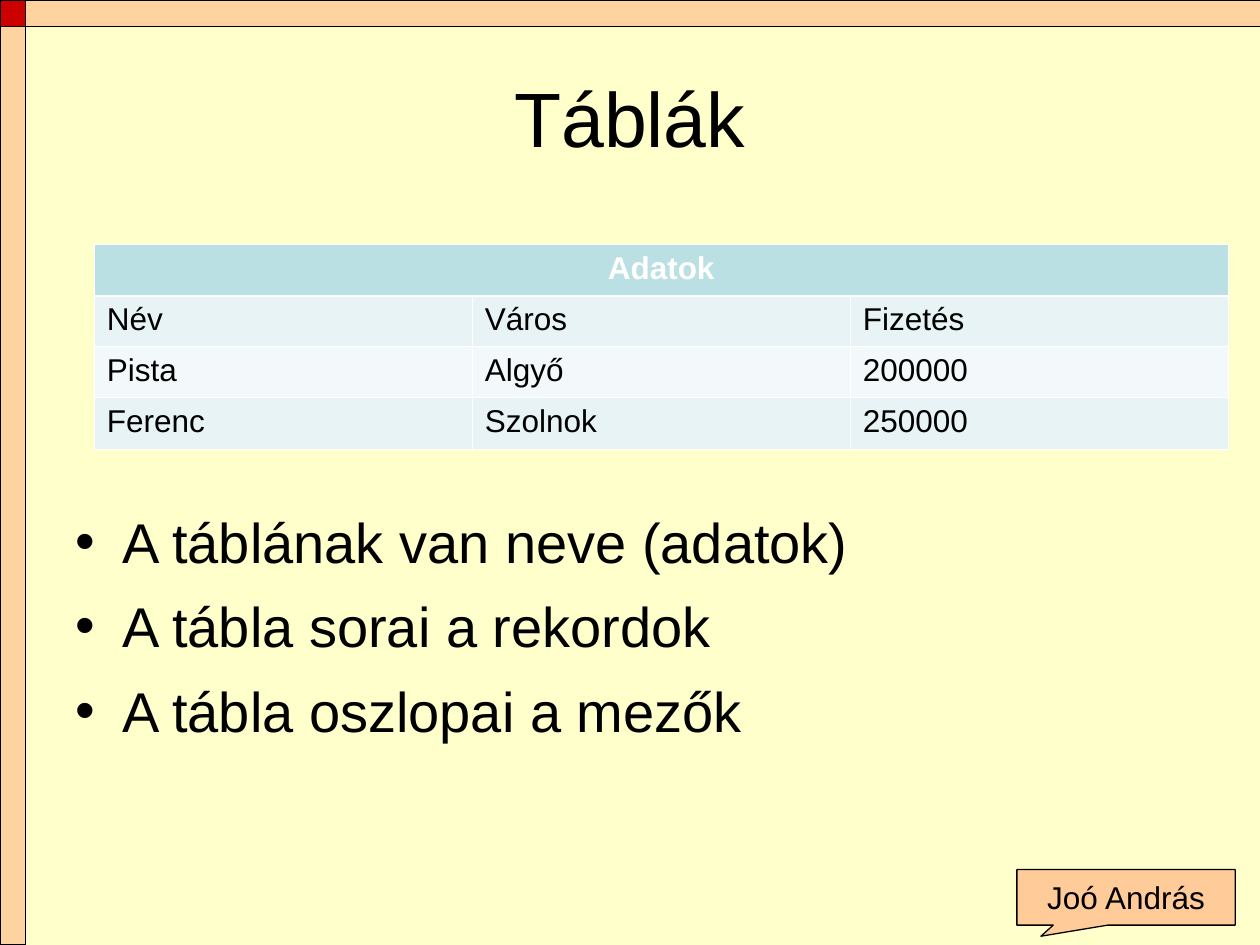
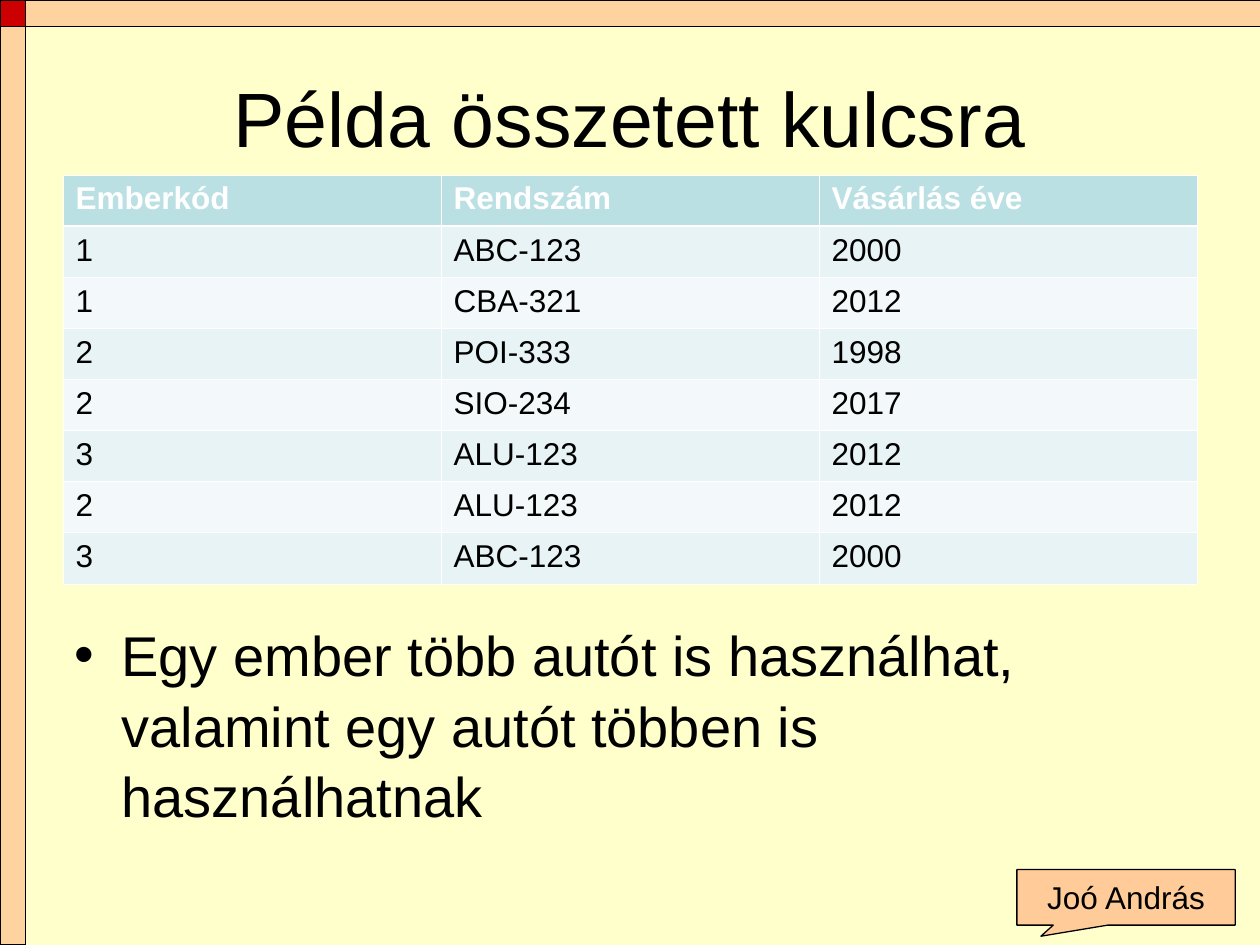
"""Builds two database slides: tables with records and fields, and a composite key example."""
from lxml import etree
from pptx import Presentation
from pptx.dml.color import RGBColor
from pptx.enum.shapes import MSO_SHAPE as Shape
from pptx.enum.text import MSO_ANCHOR as Anchor, PP_ALIGN as Align
from pptx.oxml import parse_xml
from pptx.oxml.ns import nsdecls, qn
from pptx.util import Cm, Pt

BLACK, WHITE, CREAM, PEACH, RED = "000000", "FFFFFF", "FFFFCC", "FFCC99", "CC0000"
HEADER, BANDS = "BBE0E3", ("E7F3F4", "F3F9FA")
TITLE = {"name": "Arial", "size": Pt(44)}
BODY = {"name": "Arial", "size": Pt(32)}
SMALL = {"name": "Arial", "size": Pt(18)}
HEADING = {**SMALL, "bold": True}
INDENT = Cm(0.95)
THIN, THICK = Pt(0.45), Pt(1.47)

FRAME = [
    (Shape.RECTANGLE, (0, 0.53, 0.51, 18.52), PEACH, 85, ""),
    (Shape.RECTANGLE, (0.51, 0, 24.99, 0.53), PEACH, 85, ""),
    (Shape.RECTANGULAR_CALLOUT, (20.5, 17.53, 4.4, 1.12), PEACH, 100, "Joó András"),
    (Shape.RECTANGLE, (0, 0, 0.51, 0.53), RED, 100, ""),
]

LESSONS = [
    {
        "title": "Táblák",
        "table_at": (1.9, 4.93),
        "records": [
            ("Adatok",),
            ("Név", "Város", "Fizetés"),
            ("Pista", "Algyő", "200000"),
            ("Ferenc", "Szolnok", "250000"),
        ],
        "points_at": (1.27, 10.03, 22.86, 6.99),
        "points": [
            "A táblának van neve (adatok)",
            "A tábla sorai a rekordok",
            "A tábla oszlopai a mezők",
        ],
    },
    {
        "title": "Példa összetett kulcsra",
        "table_at": (1.27, 3.53),
        "records": [
            ("Emberkód", "Rendszám", "Vásárlás éve"),
            ("1", "ABC-123", "2000"),
            ("1", "CBA-321", "2012"),
            ("2", "POI-333", "1998"),
            ("2", "SIO-234", "2017"),
            ("3", "ALU-123", "2012"),
            ("2", "ALU-123", "2012"),
            ("3", "ABC-123", "2000"),
        ],
        "points_at": (1.25, 12.32, 22.86, 5.69),
        "points": ["Egy ember több autót is használhat, valamint egy autót többen is használhatnak"],
    },
]
COLUMNS, COLUMN_WIDTH, ROW_HEIGHT = 3, 7.62, 1.03


def rgb(color):
    return RGBColor.from_string(color)


def write(paragraph, text, style, color=BLACK, align=Align.LEFT):
    paragraph.alignment = align
    run = paragraph.add_run()
    run.text = text
    for attribute, value in style.items():
        setattr(run.font, attribute, value)
    run.font.color.rgb = rgb(color)


prs = Presentation()
prs.slide_width, prs.slide_height = Cm(25.4), Cm(19.05)
backdrop = prs.slide_master.background.fill
backdrop.solid()
backdrop.fore_color.rgb = rgb(CREAM)

for lesson in LESSONS:
    slide = prs.slides.add_slide(prs.slide_layouts[6])

    for outline, place, color, opacity, author in FRAME:
        band = slide.shapes.add_shape(outline, *map(Cm, place))
        band.shadow.inherit = False
        band.fill.solid()
        band.fill.fore_color.rgb = rgb(color)
        band.line.color.rgb = rgb(BLACK)
        band.line.width = Pt(0.75)
        if opacity < 100:
            tint = band.fill._xPr.find(".//" + qn("a:srgbClr"))
            etree.SubElement(tint, qn("a:alpha"), val=str(opacity * 1000))
        if author:
            band.adjustments[0], band.adjustments[1] = -0.39, 0.7
            write(band.text_frame.paragraphs[0], author, SMALL, align=Align.CENTER)

    title = slide.shapes.add_textbox(*map(Cm, (1.27, 0.76, 22.86, 3.18))).text_frame
    title.word_wrap = True
    title.vertical_anchor = Anchor.MIDDLE
    write(title.paragraphs[0], lesson["title"], TITLE, align=Align.CENTER)

    records = lesson["records"]
    size = (COLUMNS * COLUMN_WIDTH, len(records) * ROW_HEIGHT)
    table = slide.shapes.add_table(
        len(records), COLUMNS, *map(Cm, lesson["table_at"] + size)
    ).table
    table.horz_banding = False
    for r, record in enumerate(records):
        table.rows[r].height = Cm(ROW_HEIGHT)
        for c in range(COLUMNS):
            cell = table.cell(r, c)
            edges = {
                "lnL": THIN,
                "lnR": THIN,
                "lnT": THICK if r == 1 else THIN,
                "lnB": THICK if r == 0 else THIN,
            }
            for edge, width in edges.items():
                cell._tc.get_or_add_tcPr().append(parse_xml(
                    f'<a:{edge} {nsdecls("a")} w="{int(width)}"><a:solidFill>'
                    f'<a:srgbClr val="{WHITE}"/></a:solidFill></a:{edge}>'
                ))
            cell.fill.solid()
            cell.fill.fore_color.rgb = rgb(BANDS[(r - 1) % 2] if r else HEADER)
        for c, value in enumerate(record):
            write(
                table.cell(r, c).text_frame.paragraphs[0],
                value,
                SMALL if r else HEADING,
                BLACK if r else WHITE,
                Align.CENTER if len(record) == 1 else Align.LEFT,
            )
        if len(record) == 1:
            table.cell(r, 0).merge(table.cell(r, COLUMNS - 1))

    points = slide.shapes.add_textbox(*map(Cm, lesson["points_at"])).text_frame
    points.word_wrap = True
    for i, point in enumerate(lesson["points"]):
        paragraph = points.add_paragraph() if i else points.paragraphs[0]
        paragraph.line_spacing = 1.05
        paragraph.space_before = Pt(8 if i else 0)
        properties = paragraph._p.get_or_add_pPr()
        properties.set("marL", str(INDENT))
        properties.set("indent", str(-INDENT))
        etree.SubElement(properties, qn("a:buFont"), typeface="Arial")
        etree.SubElement(properties, qn("a:buChar"), char="•")
        write(paragraph, point, BODY)

prs.save("out.pptx")
